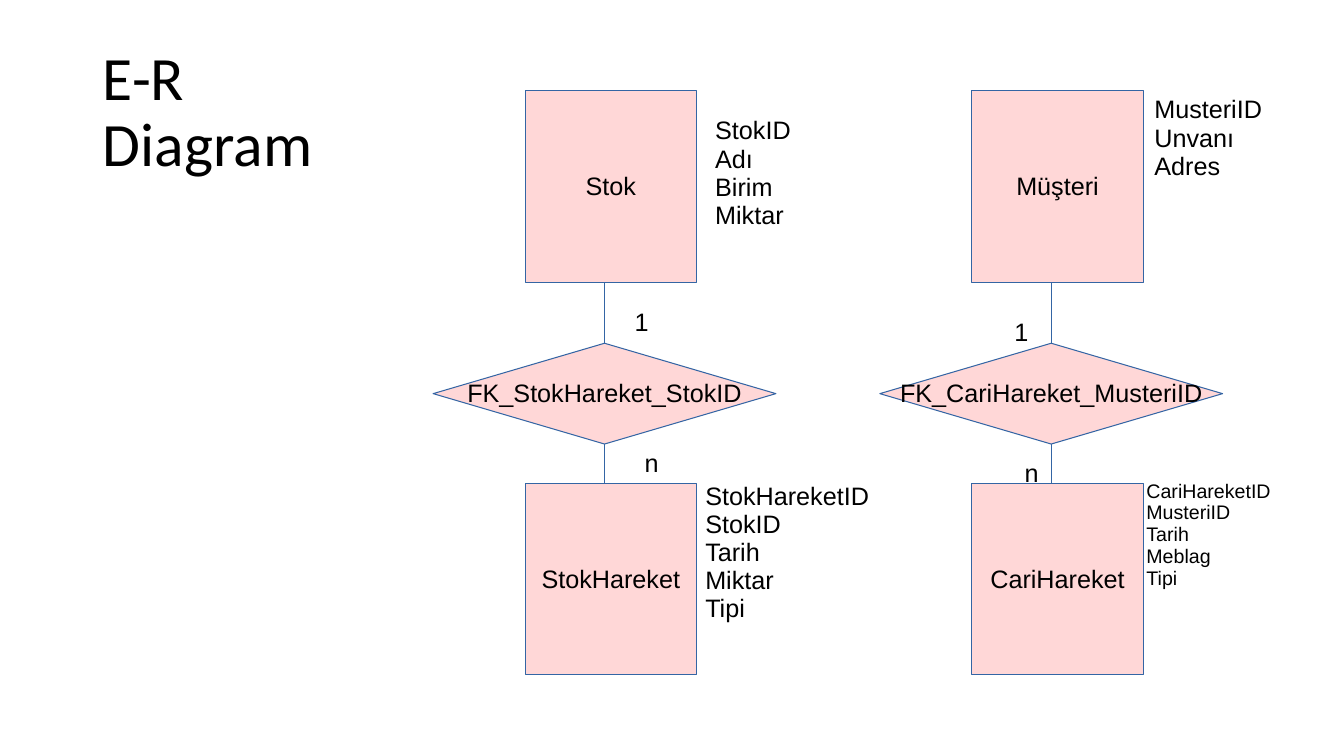
from pptx import Presentation
from pptx.dml.color import RGBColor
from pptx.enum.shapes import MSO_CONNECTOR, MSO_SHAPE
from pptx.enum.text import MSO_ANCHOR, MSO_AUTO_SIZE, PP_ALIGN
from pptx.util import Cm, Pt
from lxml.etree import SubElement
from pptx.oxml.ns import qn

PINK = RGBColor(0xFF, 0xD7, 0xD7)
BLUE = RGBColor(0x34, 0x65, 0xA4)
BLACK = RGBColor(0, 0, 0)

TITLE = "E-R Diagram"
RELATIONS = [
    {
        "axis": 15.24,
        "name": "FK_StokHareket_StokID",
        "entities": ["Stok", "StokHareket"],
        "attributes": [
            (["StokID", "Adı", "Birim", "Miktar"], 17.78, 2.79, 2.79, 18),
            (["StokHareketID", "StokID", "Tarih", "Miktar", "Tipi"], 17.53, 11.99, 4.98, 18),
        ],
        "cardinalities": [("1", 15.75, 7.62), ("n", 16, 11.18)],
    },
    {
        "axis": 26.5,
        "name": "FK_CariHareket_MusteriID",
        "entities": ["Müşteri", "CariHareket"],
        "attributes": [
            (["MusteriID", "Unvanı", "Adres"], 28.85, 2.26, 3.63, 18),
            (["CariHareketID", "MusteriID", "Tarih", "Meblag", "Tipi"], 28.65, 11.94, 3.8, 14),
        ],
        "cardinalities": [("1", 25.32, 7.87), ("n", 25.58, 11.43)],
    },
]

ENTITY_W, ENTITY_H = 4.32, 4.83
ENTITY_OFFSET = 2
ENTITY_TOPS = [2.28, 12.18]
DIAMOND_W, DIAMOND_H = 8.64, 2.54
DIAMOND_TOP = 8.65
LABEL_W, LABEL_H = 1.2, 0.97
LINE_PITCH = 0.04

presentation = Presentation()
presentation.slide_width, presentation.slide_height = Cm(33.88), Cm(19.05)
slide = presentation.slides.add_slide(presentation.slide_layouts[5])


def write(frame, lines, size, font="Arial", align=PP_ALIGN.LEFT, spacing=0.93):
    frame.text = "\n".join(lines)
    for paragraph in frame.paragraphs:
        paragraph.alignment = align
        paragraph.line_spacing = spacing
        for run in paragraph.runs:
            run.font.name = font
            run.font.size = Pt(size)
            run.font.color.rgb = BLACK


def set_margins(frame):
    frame.margin_left = frame.margin_right = Cm(0.25)
    frame.margin_top, frame.margin_bottom = Cm(0.17), Cm(0.13)


def add_node(kind, name, left, top, width, height):
    node = slide.shapes.add_shape(kind, Cm(left), Cm(top), Cm(width), Cm(height))
    node.shadow.inherit = False
    node.fill.solid()
    node.fill.fore_color.rgb = PINK
    node.line.color.rgb = BLUE
    node.line.width = Pt(0.75)
    set_margins(node.text_frame)
    node.text_frame.word_wrap = False
    node.text_frame.vertical_anchor = MSO_ANCHOR.MIDDLE
    write(node.text_frame, [name], 18, align=PP_ALIGN.CENTER)


def add_label(lines, left, top, width, height, size=18):
    frame = slide.shapes.add_textbox(Cm(left), Cm(top), Cm(width), Cm(height)).text_frame
    set_margins(frame)
    frame.word_wrap = True
    write(frame, lines, size)


def add_link(x, top, bottom):
    link = slide.shapes.add_connector(MSO_CONNECTOR.STRAIGHT, Cm(x), Cm(top), Cm(x), Cm(bottom))
    link.line.color.rgb = BLUE
    link.line.width = Pt(0.75)
    SubElement(link._element.spPr, qn("a:effectLst"))


title = slide.shapes.title
title.left, title.top, title.width, title.height = Cm(2.34), Cm(1.02), Cm(8.18), Cm(3.68)
title.text_frame.word_wrap = True
title.text_frame.auto_size = MSO_AUTO_SIZE.NONE
title.text_frame.vertical_anchor = MSO_ANCHOR.MIDDLE
write(title.text_frame, [TITLE], 44, font="Calibri", spacing=0.9)

for relation in RELATIONS:
    axis = relation["axis"]
    for entity, top in zip(relation["entities"], ENTITY_TOPS):
        add_node(MSO_SHAPE.RECTANGLE, entity, axis - ENTITY_OFFSET, top, ENTITY_W, ENTITY_H)
    add_node(MSO_SHAPE.DIAMOND, relation["name"], axis - DIAMOND_W / 2, DIAMOND_TOP, DIAMOND_W, DIAMOND_H)
    add_link(axis, ENTITY_TOPS[0] + ENTITY_H, DIAMOND_TOP)
    add_link(axis, DIAMOND_TOP + DIAMOND_H, ENTITY_TOPS[1])
    for names, left, top, width, size in relation["attributes"]:
        add_label(names, left, top, width, 0.3 + len(names) * size * LINE_PITCH, size)
    for cardinality, left, top in relation["cardinalities"]:
        add_label([cardinality], left, top, LABEL_W, LABEL_H)

presentation.save("out.pptx")
